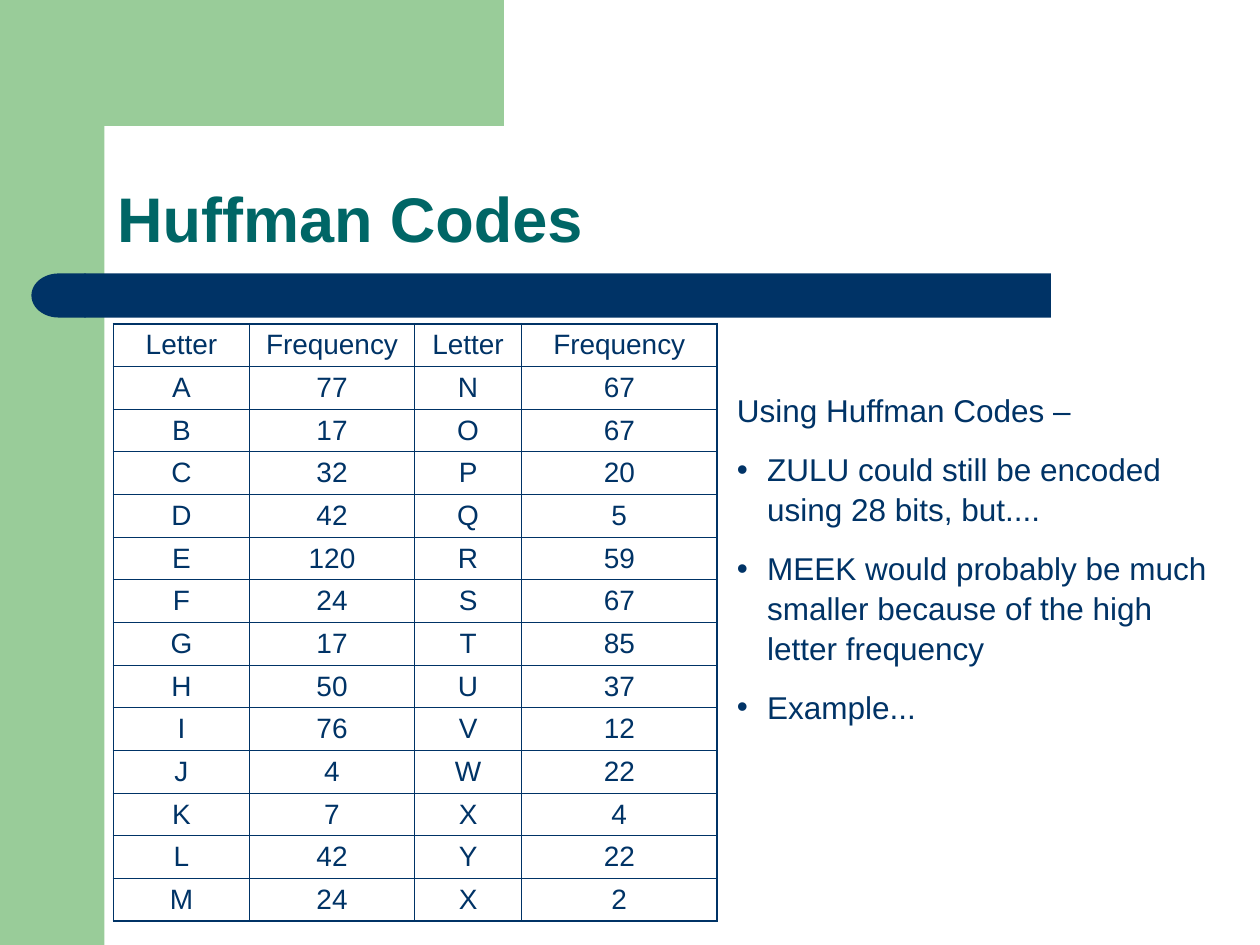
from lxml.etree import SubElement
from pptx import Presentation
from pptx.dml.color import RGBColor
from pptx.enum.shapes import MSO_SHAPE
from pptx.enum.text import MSO_ANCHOR, MSO_AUTO_SIZE, PP_ALIGN
from pptx.oxml.ns import qn
from pptx.util import Inches, Pt

TITLE = "Huffman Codes"
HEADER = ("Letter", "Frequency", "Letter", "Frequency")
FIRST_HALF = [("A", 77), ("B", 17), ("C", 32), ("D", 42), ("E", 120), ("F", 24), ("G", 17),
              ("H", 50), ("I", 76), ("J", 4), ("K", 7), ("L", 42), ("M", 24)]
SECOND_HALF = [("N", 67), ("O", 67), ("P", 20), ("Q", 5), ("R", 59), ("S", 67), ("T", 85),
               ("U", 37), ("V", 12), ("W", 22), ("X", 4), ("Y", 22), ("X", 2)]
INTRO = "Using Huffman Codes –"
POINTS = [
    "ZULU could still be encoded using 28 bits, but....",
    "MEEK would probably be much smaller because of the high letter frequency",
    "Example...",
]

THEME = {
    "font": "Arial", "green": "99CC99", "navy": "003366", "teal": "006666",
    "title": 36, "body": 18, "table": 16, "outer_line": 1.08, "inner_line": 0.45,
}
COLUMN_WIDTHS = (1.08, 1.31, 0.85, 1.55)
ROW_HEIGHT, LAST_ROW_HEIGHT = 0.29, 0.32
CORNER_BEFORE = [(3.5, 0), (3.5, 0.83), (1.16, 0.84), (1.11, 0.83), (1.03, 0.85)]
CORNER_CURVES = [
    ((1.03, 0.85), (1, 0.86), (0.96, 0.89), (0.93, 0.92)),
    ((0.93, 0.92), (0.9, 0.95), (0.87, 1), (0.86, 1.04)),
    ((0.86, 1.04), (0.84, 1.08), (0.84, 1.12), (0.83, 1.16)),
]
CORNER_AFTER = [(0.83, 1.28), (0.5, 1.28), (0.5, 0)]


def write_text(paragraph, text, *, size, color, bold=False, align=PP_ALIGN.LEFT,
               before=0, spacing=None):
    paragraph.alignment = align
    paragraph.space_before = Pt(before)
    if spacing:
        paragraph.line_spacing = spacing
    run = paragraph.add_run()
    run.text = text
    run.font.name = THEME["font"]
    run.font.size = Pt(size)
    run.font.bold = bold
    run.font.color.rgb = RGBColor.from_string(color)


def paint(shape, color):
    shape.shadow.inherit = False
    shape.fill.solid()
    shape.fill.fore_color.rgb = RGBColor.from_string(color)
    shape.line.fill.background()


def add_block(slide, kind, box, color):
    shape = slide.shapes.add_shape(kind, *map(Inches, box))
    paint(shape, color)
    return shape


def curve_points(start, control_1, control_2, end, steps=6):
    """Points along a cubic Bezier curve, without its start."""
    for step in range(1, steps + 1):
        t = step / steps
        weights = ((1 - t) ** 3, 3 * t * (1 - t) ** 2, 3 * t * t * (1 - t), t ** 3)
        yield tuple(sum(w * p for w, p in zip(weights, axis))
                    for axis in zip(start, control_1, control_2, end))


def add_decoration(slide):
    add_block(slide, MSO_SHAPE.RECTANGLE, (0, 0, 0.83, 7.5), THEME["green"])
    outline = list(CORNER_BEFORE)
    for curve in CORNER_CURVES:
        outline.extend(curve_points(*curve))
    outline += CORNER_AFTER
    builder = slide.shapes.build_freeform(*outline[0], scale=Inches(1))
    builder.add_line_segments(outline[1:], close=True)
    paint(builder.convert_to_shape(), THEME["green"])
    bar = add_block(slide, MSO_SHAPE.ROUNDED_RECTANGLE, (0.67, 2.17, 7.67, 0.35), THEME["navy"])
    bar.adjustments[0] = 0
    cap = add_block(slide, MSO_SHAPE.FLOWCHART_DELAY, (0.25, 2.17, 0.43, 0.35), THEME["navy"])
    cap._element.spPr.xfrm.set("flipH", "1")


def set_borders(cell, widths):
    properties = cell._tc.get_or_add_tcPr()
    for side, width in widths.items():
        line = SubElement(properties, qn(f"a:ln{side}"), w=str(Pt(width)))
        fill = SubElement(line, qn("a:solidFill"))
        SubElement(fill, qn("a:srgbClr"), val=THEME["navy"])


def add_frequency_table(slide):
    rows = [HEADER] + [a + b for a, b in zip(FIRST_HALF, SECOND_HALF)]
    last_row, last_column = len(rows) - 1, len(HEADER) - 1
    height = ROW_HEIGHT * last_row + LAST_ROW_HEIGHT
    table = slide.shapes.add_table(len(rows), len(HEADER), Inches(0.9), Inches(2.57),
                                   Inches(sum(COLUMN_WIDTHS)), Inches(height)).table
    table.first_row = table.horz_banding = False
    for column, width in zip(table.columns, COLUMN_WIDTHS):
        column.width = Inches(width)
    for r, values in enumerate(rows):
        table.rows[r].height = Inches(LAST_ROW_HEIGHT if r == last_row else ROW_HEIGHT)
        for c, value in enumerate(values):
            cell = table.cell(r, c)
            cell.margin_top = cell.margin_bottom = Pt(3.3)
            cell.vertical_anchor = MSO_ANCHOR.MIDDLE
            outer = {"L": c == 0, "R": c == last_column, "T": r == 0, "B": r == last_row}
            set_borders(cell, {side: THEME["outer_line" if edge else "inner_line"]
                               for side, edge in outer.items()})
            cell.fill.background()
            write_text(cell.text_frame.paragraphs[0], str(value), size=THEME["table"],
                       color=THEME["navy"], align=PP_ALIGN.CENTER)


def add_bullet(paragraph, indent=0.24):
    properties = paragraph._p.get_or_add_pPr()
    properties.set("marL", str(Inches(indent)))
    properties.set("indent", str(-Inches(indent)))
    color = SubElement(properties, qn("a:buClr"))
    SubElement(color, qn("a:srgbClr"), val=THEME["navy"])
    SubElement(properties, qn("a:buFont"), typeface=THEME["font"])
    SubElement(properties, qn("a:buChar"), char="•")


def add_remarks(slide):
    box = slide.shapes.add_textbox(Inches(5.75), Inches(3.04), Inches(3.98), Inches(3.13))
    frame = box.text_frame
    frame.word_wrap = True
    frame.auto_size = MSO_AUTO_SIZE.SHAPE_TO_FIT_TEXT
    for index, text in enumerate([INTRO] + POINTS):
        paragraph = frame.add_paragraph() if index else frame.paragraphs[0]
        write_text(paragraph, text, size=THEME["body"], color=THEME["navy"],
                   before=11.2, spacing=1.05)
        if index:
            add_bullet(paragraph)


def place_title(slide):
    title = slide.shapes.title
    title.left, title.top, title.width, title.height = map(Inches, (0.83, 0.83, 8.67, 1.25))
    frame = title.text_frame
    frame.word_wrap = True
    frame.auto_size = MSO_AUTO_SIZE.NONE
    frame.vertical_anchor = MSO_ANCHOR.BOTTOM
    write_text(frame.paragraphs[0], TITLE, size=THEME["title"], color=THEME["teal"],
               bold=True, spacing=0.9)


def main():
    presentation = Presentation()
    presentation.slide_width, presentation.slide_height = Inches(10), Inches(7.5)
    slide = presentation.slides.add_slide(presentation.slide_layouts[5])
    add_decoration(slide)
    place_title(slide)
    add_frequency_table(slide)
    add_remarks(slide)
    presentation.save("out.pptx")


if __name__ == "__main__":
    main()
